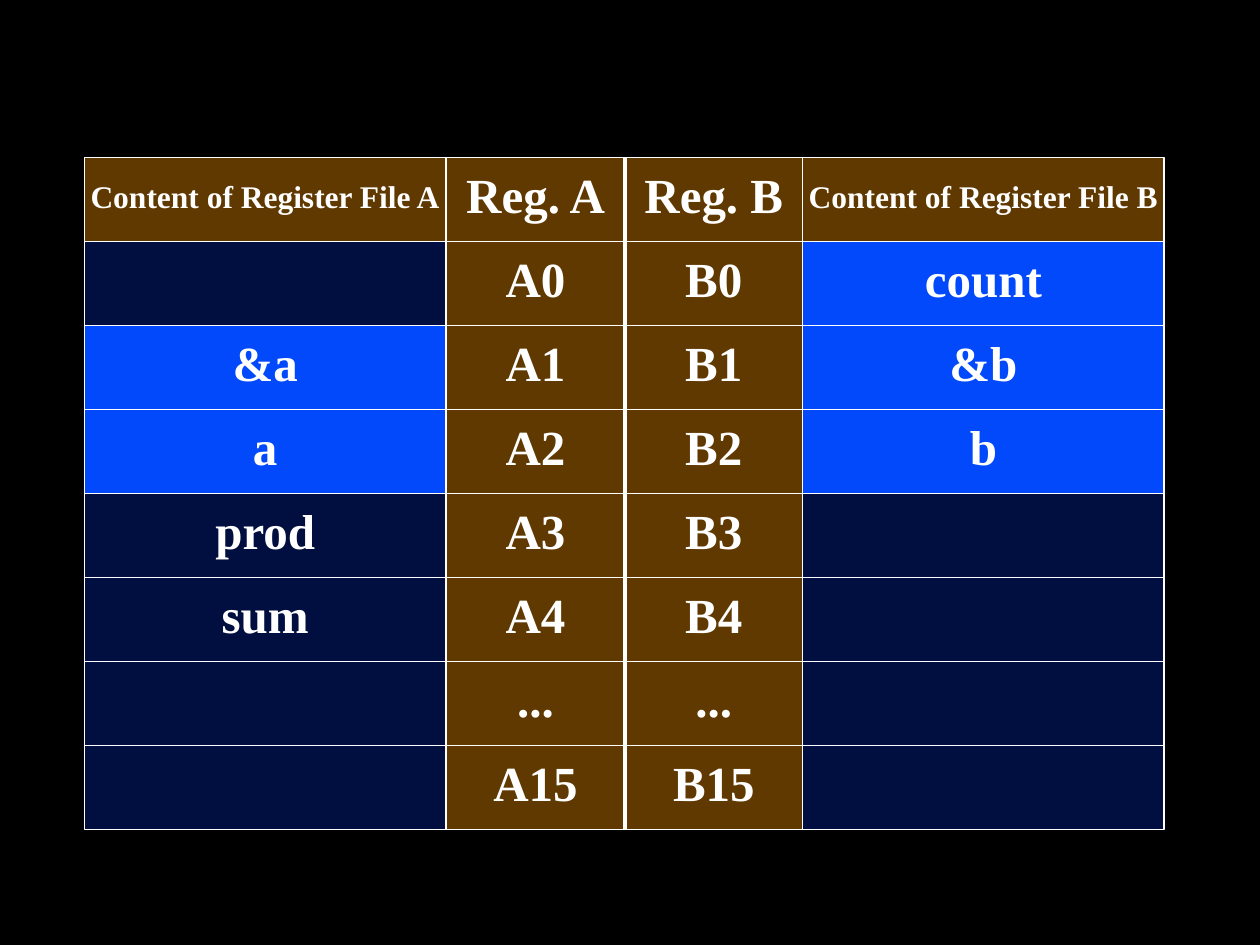
from itertools import pairwise
from lxml import etree
from pptx import Presentation, util as u
from pptx.dml.color import RGBColor
from pptx.enum import shapes, text
from pptx.oxml import ns

C = {"bg": "000000", "ink": "FFFFFF", "reg": "603900", "free": "000F40", "used": "0249FC"}
FONT = "Times New Roman"
rgb = RGBColor.from_string

prs = Presentation()
prs.slide_width, prs.slide_height = u.Inches(10), u.Inches(7.5)
s = prs.slides.add_slide(prs.slide_layouts[6])
s.background.fill.solid()
s.background.fill.fore_color.rgb = rgb(C["bg"])

names = ["0", "1", "2", "3", "4", "...", "15"]
registers = [[f"Reg. {f}"] + [n if n == "..." else f + n for n in names] for f in "AB"]
columns = [
    ["Content of Register File A", "", "&a", "a", "prod", "sum", "", ""],
    *registers,
    ["Content of Register File B", "count", "&b", "b", "", "", "", ""],
]
used = {"&a", "a", "count", "&b", "b"}
edges = [u.Inches(x) for x in (0.67, 3.54, 4.96, 6.37, 9.24)]
top, row_h = prs.slide_height // 6, u.Inches(2 / 3)

for col, (left, right) in enumerate(pairwise(edges)):
    for row, label in enumerate(columns[col]):
        sp = s.shapes.add_shape(shapes.MSO_SHAPE.RECTANGLE, left, top + row * row_h, right - left, row_h)
        sp.shadow.inherit = False
        kind = "reg" if row == 0 or col in (1, 2) else "used" if label in used else "free"
        sp.fill.solid()
        sp.fill.fore_color.rgb = rgb(C[kind])
        sp.line.color.rgb = rgb(C["ink"])
        sp.line.width = u.Pt(1)
        if not label:
            continue
        tf = sp.text_frame
        tf.word_wrap = False
        tf.vertical_anchor = text.MSO_ANCHOR.MIDDLE
        p = tf.paragraphs[0]
        p.alignment = text.PP_ALIGN.CENTER
        p.line_spacing = 0.8
        before = etree.SubElement(p._p.get_or_add_pPr(), ns.qn("a:spcBef"))
        etree.SubElement(before, ns.qn("a:spcPct"), val="50000")
        r = p.add_run()
        r.text = label
        r.font.name, r.font.bold = FONT, True
        r.font.size = u.Pt(18 if label.startswith("Content") else 28)
        r.font.color.rgb = rgb(C["ink"])

divider = s.shapes.add_connector(
    shapes.MSO_CONNECTOR.STRAIGHT, edges[2], top, edges[2], top + len(columns[0]) * row_h
)
divider.line.color.rgb = rgb(C["ink"])
divider.line.width = u.Pt(2.25)
etree.SubElement(divider._element.spPr, ns.qn("a:effectLst"))

prs.save("out.pptx")
